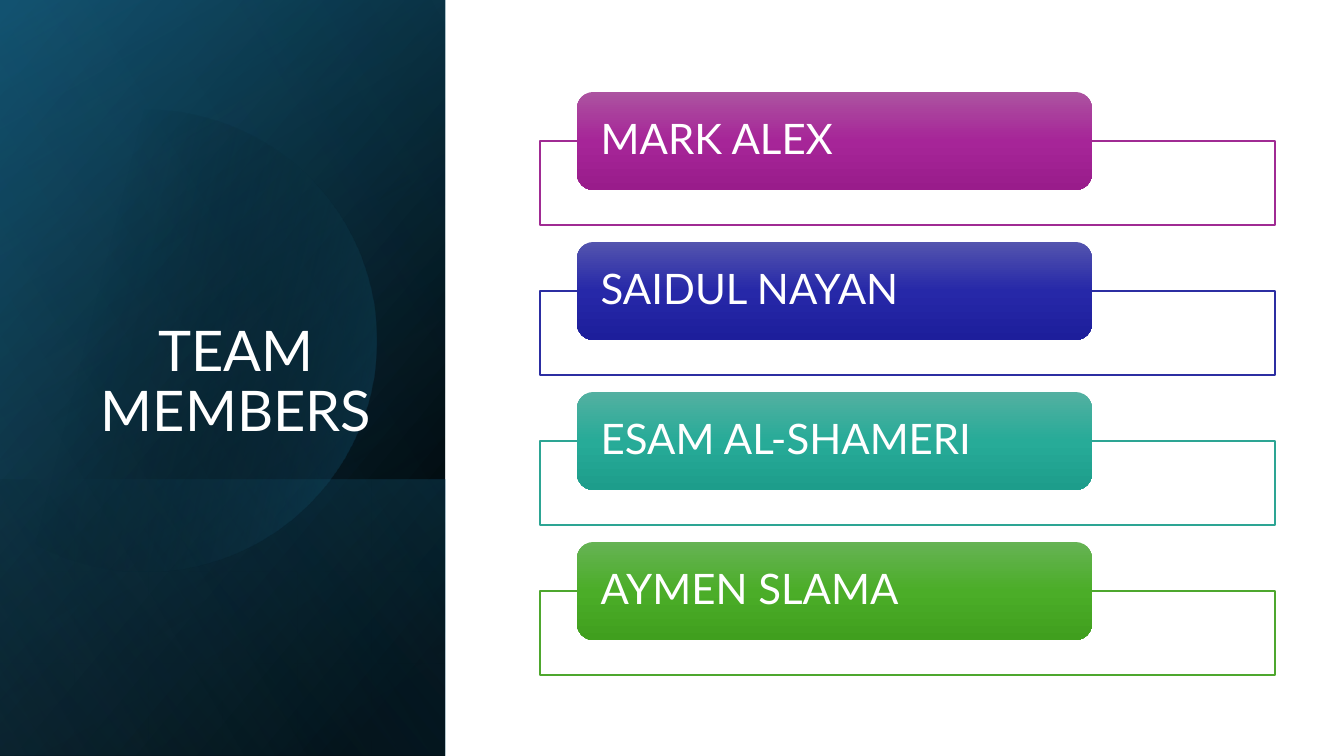
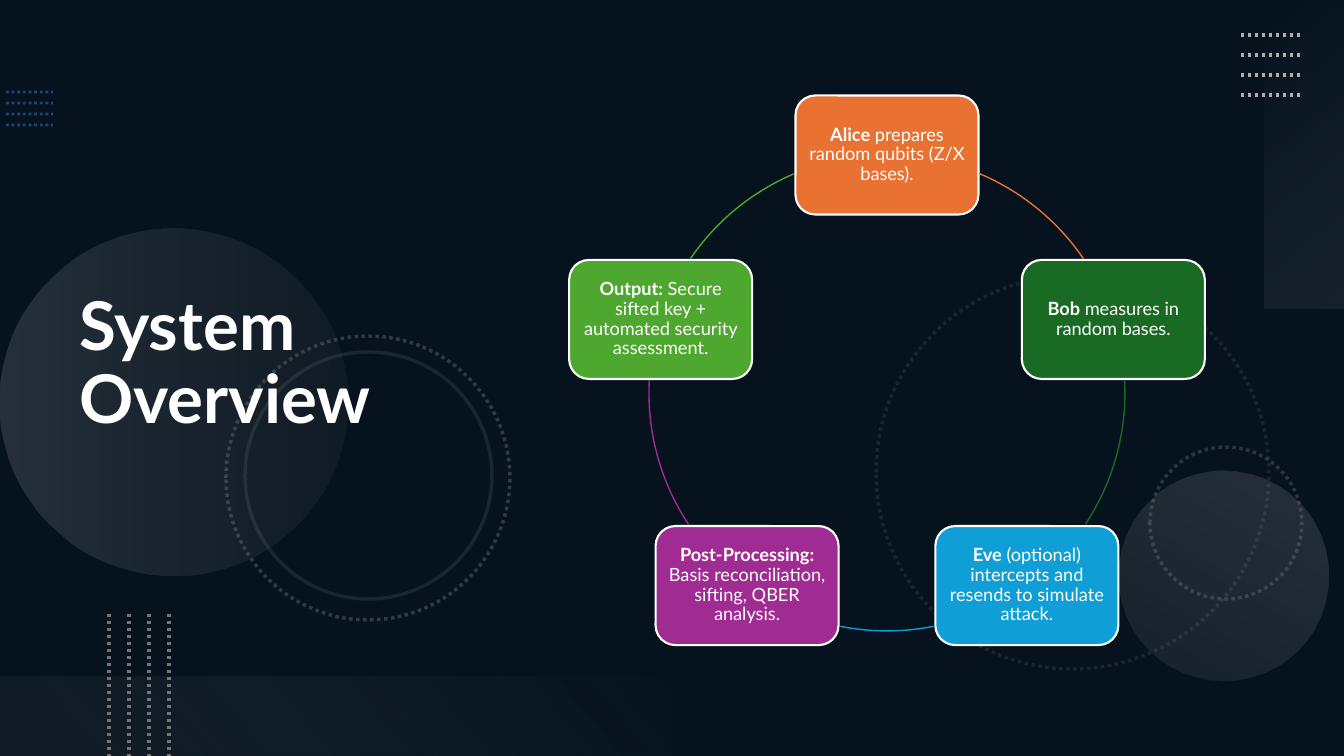
from dataclasses import dataclass
from math import cos, radians, sin

from pptx import Presentation
from pptx.dml.color import RGBColor
from pptx.enum.dml import MSO_LINE
from pptx.enum.shapes import MSO_CONNECTOR, MSO_SHAPE
from pptx.enum.text import MSO_ANCHOR, MSO_AUTO_SIZE, PP_ALIGN
from pptx.oxml.ns import qn
from pptx.oxml.xmlchemy import OxmlElement
from pptx.util import Emu, Pt

EMU_PER_PX = 914400 / 100.8
WIDTH, HEIGHT = 1344, 756
TITLE_ONLY = 5


@dataclass(frozen=True)
class Theme:
    font: str = "Lato"
    white: str = "FFFFFF"
    black: str = "000000"
    navy: str = "0E2841"
    deep_blue: str = "104862"
    teal_blue: str = "156082"
    sky: str = "46B1E1"
    dot_blue: str = "2D7FCF"
    silver: str = "AEAEAE"
    grey: str = "747474"
    pale: str = "F6F6F6"
    orange: str = "E97132"
    forest: str = "196B24"
    azure: str = "0F9ED5"
    purple: str = "A02B93"
    green: str = "4EA72E"
    indigo: str = "2C2EA2"
    aqua: str = "2DA594"
    purple_fade: tuple = ("AC53A0", "A62598", "991C8B")
    indigo_fade: tuple = ("5354AE", "2628A8", "1D1E9B")
    aqua_fade: tuple = ("53B0A1", "27AB98", "1D9D8B")
    green_fade: tuple = ("66B354", "4BAD28", "409F1E")
    team_title_size: int = 40
    overview_title_size: int = 48
    card_size: int = 30
    node_size: int = 13
    line_spacing: float = 0.9


THEME = Theme()


def px(length):
    return Emu(round(length * EMU_PER_PX))


def box_px(*lengths):
    return [px(length) for length in lengths]


def assign(target, values):
    for name, value in values.items():
        setattr(target, name, value)


def add_alpha(color_element, opacity):
    if opacity < 100:
        alpha = OxmlElement("a:alpha")
        alpha.set("val", str(opacity * 1000))
        color_element.append(alpha)


class Deck:
    """Holds the theme and the slide being built."""

    def __init__(self, theme):
        self.theme = theme
        self.presentation = Presentation()
        assign(self.presentation, {"slide_width": px(WIDTH), "slide_height": px(HEIGHT)})
        self.slide = None

    def new_slide(self, background):
        layout = self.presentation.slide_layouts[TITLE_ONLY]
        self.slide = self.presentation.slides.add_slide(layout)
        fill = self.slide.background.fill
        fill.solid()
        fill.fore_color.rgb = RGBColor.from_string(background)

    def title(self, text, box, size, align, anchor, bold=False):
        heading = self.slide.shapes.title
        assign(heading, dict(zip(("left", "top", "width", "height"), box_px(*box))))
        self.set_text(heading.text_frame, [(text, bold)], size, align, anchor)
        # Bring the heading in front of the decoration drawn so far
        heading._element.getparent().append(heading._element)

    def set_text(self, frame, runs, size, align, anchor, inset=None):
        assign(frame, {"word_wrap": True, "auto_size": MSO_AUTO_SIZE.NONE,
                       "vertical_anchor": anchor})
        if inset:
            across, down = box_px(*inset)
            assign(frame, {"margin_left": across, "margin_right": across,
                           "margin_top": down, "margin_bottom": down})
        paragraph = frame.paragraphs[0]
        assign(paragraph, {"alignment": align, "line_spacing": self.theme.line_spacing})
        for text, bold in runs:
            run = paragraph.add_run()
            run.text = text
            assign(run.font, {"name": self.theme.font, "size": Pt(size), "bold": bold})
            run.font.color.rgb = RGBColor.from_string(self.theme.white)

    def stroke(self, outlined, color, width, opacity=100, dash=None):
        line = outlined.line
        line.color.rgb = RGBColor.from_string(color)
        assign(line, {"width": Pt(width), "dash_style": dash})
        add_alpha(outlined._element.spPr.find(qn("a:ln")).find(".//" + qn("a:srgbClr")), opacity)

    def gradient(self, shape, stops, angle):
        """Stops are (position, colour, opacity); the angle runs clockwise."""
        shape.fill.gradient()
        shape.fill.gradient_angle = (360 - angle) % 360
        stop_list = shape._element.spPr.find(".//" + qn("a:gsLst"))
        for old_stop in list(stop_list):
            stop_list.remove(old_stop)
        for position, color, opacity in stops:
            stop = OxmlElement("a:gs")
            stop.set("pos", str(position * 1000))
            color_element = OxmlElement("a:srgbClr")
            color_element.set("val", color)
            add_alpha(color_element, opacity)
            stop.append(color_element)
            stop_list.append(stop)

    def finish(self, shape, fill=None, opacity=100, stops=None, angle=0, stroke=None):
        shape.shadow.inherit = False
        if stops:
            self.gradient(shape, stops, angle)
        elif fill:
            shape.fill.solid()
            shape.fill.fore_color.rgb = RGBColor.from_string(fill)
            add_alpha(shape._element.spPr.find(".//" + qn("a:srgbClr")), opacity)
        else:
            shape.fill.background()
        if stroke:
            self.stroke(shape, *stroke)
        else:
            shape.line.fill.background()
        return shape

    def shape(self, kind, box, **look):
        return self.finish(self.slide.shapes.add_shape(kind, *box_px(*box)), **look)

    def outline(self, points, **look):
        corners = [box_px(*point) for point in points]
        builder = self.slide.shapes.build_freeform(*corners[0])
        builder.add_line_segments(corners[1:], close=True)
        return self.finish(builder.convert_to_shape(), **look)

    def arc(self, box, start, end, color):
        curve = self.shape(MSO_SHAPE.ARC, box, stroke=(color, 1))
        # Arc adjustments count 60000ths of a degree, scaled by 100000
        for index, degrees in enumerate((start, end)):
            curve.adjustments[index] = degrees * 0.6

    def dotted_line(self, ends, color, width, opacity=100):
        line = self.slide.shapes.add_connector(MSO_CONNECTOR.STRAIGHT, *box_px(*ends))
        self.stroke(line, color, width, opacity, MSO_LINE.ROUND_DOT)
        line._element.spPr.append(OxmlElement("a:effectLst"))


def build_team(deck):
    theme = deck.theme
    deck.new_slide(theme.white)

    # Shaded side panel
    panel = (0, 0, 445, HEIGHT)
    lower_panel = (0, 480, 445, 276)
    deck.shape(MSO_SHAPE.RECTANGLE, panel, angle=220,
               stops=[(8, theme.black, 100), (100, theme.deep_blue, 100)])
    deck.shape(MSO_SHAPE.RECTANGLE, panel, angle=240,
               stops=[(0, theme.black, 0), (99, theme.teal_blue, 46)])
    deck.shape(MSO_SHAPE.RECTANGLE, lower_panel, angle=140,
               stops=[(2, theme.teal_blue, 29), (100, theme.black, 30)])

    # Disc cut off by the left edge
    center_x, center_y, radius = 145, 341, 231
    rim = [(max(0, center_x + radius * cos(radians(turn))),
            center_y + radius * sin(radians(turn))) for turn in range(-129, 130, 2)]
    deck.outline(rim, angle=14, stops=[(29, theme.black, 0), (100, theme.teal_blue, 43)])
    deck.shape(MSO_SHAPE.RECTANGLE, panel, angle=150,
               stops=[(0, theme.black, 0), (99, theme.sky, 11)])
    deck.title("TEAM MEMBERS", (64, 185, 344, 264), theme.team_title_size,
               PP_ALIGN.CENTER, MSO_ANCHOR.BOTTOM)

    # Member cards
    members = [
        ("MARK ALEX", theme.purple, theme.purple_fade),
        ("SAIDUL NAYAN", theme.indigo, theme.indigo_fade),
        ("ESAM AL-SHAMERI", theme.aqua, theme.aqua_fade),
        ("AYMEN SLAMA", theme.green, theme.green_fade),
    ]
    for row, (member, color, fade) in enumerate(members):
        top = 92 + 150 * row
        deck.shape(MSO_SHAPE.RECTANGLE, (540, top + 49, 735, 84), fill=theme.white,
                   opacity=90, stroke=(color, 1))
        card = deck.shape(MSO_SHAPE.ROUNDED_RECTANGLE, (577, top, 515, 98), angle=90,
                          stops=[(50 * step, tone, 100) for step, tone in enumerate(fade)])
        deck.set_text(card.text_frame, [(member, False)], theme.card_size,
                      PP_ALIGN.LEFT, MSO_ANCHOR.MIDDLE, (19, 0))


def decorate_overview(deck):
    theme = deck.theme
    dots = MSO_LINE.ROUND_DOT
    deck.shape(MSO_SHAPE.RECTANGLE, (0, 0, WIDTH, HEIGHT), fill=theme.black, opacity=53)
    for row in range(4):
        deck.dotted_line((6, 92 + 11 * row, 53, 92 + 11 * row), theme.dot_blue, 2, 50)

    # Rings and discs: left, top, diameter
    rings = [
        (876, 276, 393, 20, dots),
        (1150, 447, 152, 35, dots),
        (226, 336, 284, 40, dots),
        (245, 352, 247, 20, None),
    ]
    discs = [
        (0, 229, 347, 0, [(0, theme.silver, 20), (100, theme.grey, 10)]),
        (1119, 471, 210, 300, [(0, theme.silver, 10), (100, theme.silver, 20)]),
    ]
    for left, top, size, opacity, dash in rings:
        deck.shape(MSO_SHAPE.OVAL, (left, top, size, size),
                   stroke=(theme.grey, 2.5, opacity, dash))
    for left, top, size, angle, stops in discs:
        deck.shape(MSO_SHAPE.OVAL, (left, top, size, size), angle=angle, stops=stops)

    # Corner bands with dotted lines
    deck.shape(MSO_SHAPE.RECTANGLE, (1265, 0, 79, 309), angle=50,
               stops=[(0, theme.pale, 0), (100, theme.silver, 10)])
    deck.shape(MSO_SHAPE.RECTANGLE, (0, 677, 672, 79), angle=320,
               stops=[(10, theme.grey, 10), (100, theme.pale, 0)])
    for step in range(4):
        across, down = 109 + 20 * step, 35 + 20 * step
        deck.dotted_line((1241, down, 1301, down), theme.silver, 2.5)
        deck.dotted_line((across, 614, across, HEIGHT), theme.grey, 2.5)


def build_overview(deck):
    theme = deck.theme
    deck.new_slide(theme.navy)
    decorate_overview(deck)
    deck.title("System Overview", (69, 54, 463, 622), theme.overview_title_size,
               PP_ALIGN.LEFT, MSO_ANCHOR.MIDDLE, bold=True)

    # Cycle of steps, each followed by the arc to the next one
    steps = [
        ("Alice", " prepares random qubits (Z/X bases).", theme.orange, 293, 325.6),
        ("Bob", " measures in random bases.", theme.forest, 357, 33.5),
        ("Eve", " (optional) intercepts and resends to simulate attack.",
         theme.azure, 78.7, 101.3),
        ("Post-Processing:", " Basis reconciliation, sifting, QBER analysis.",
         theme.purple, 146.5, 183),
        ("Output:", " Secure sifted key + automated security assessment.",
         theme.green, 214.4, 247),
    ]
    center_x, center_y, radius = 887, 393, 238
    node_width, node_height = 183, 119
    ring = (center_x - radius, center_y - radius, 2 * radius, 2 * radius)
    for index, (actor, action, color, arc_start, arc_end) in enumerate(steps):
        turn = radians(360 / len(steps) * index - 90)
        left = center_x + radius * cos(turn) - node_width / 2
        top = center_y + radius * sin(turn) - node_height / 2
        node = deck.shape(MSO_SHAPE.ROUNDED_RECTANGLE, (left, top, node_width, node_height),
                          fill=color, stroke=(theme.white, 1.5))
        deck.set_text(node.text_frame, [(actor, True), (action, False)], theme.node_size,
                      PP_ALIGN.CENTER, MSO_ANCHOR.MIDDLE, (5, 5))
        deck.arc(ring, arc_start, arc_end, color)


def main():
    deck = Deck(THEME)
    build_team(deck)
    build_overview(deck)
    deck.presentation.save("out.pptx")


if __name__ == "__main__":
    main()
